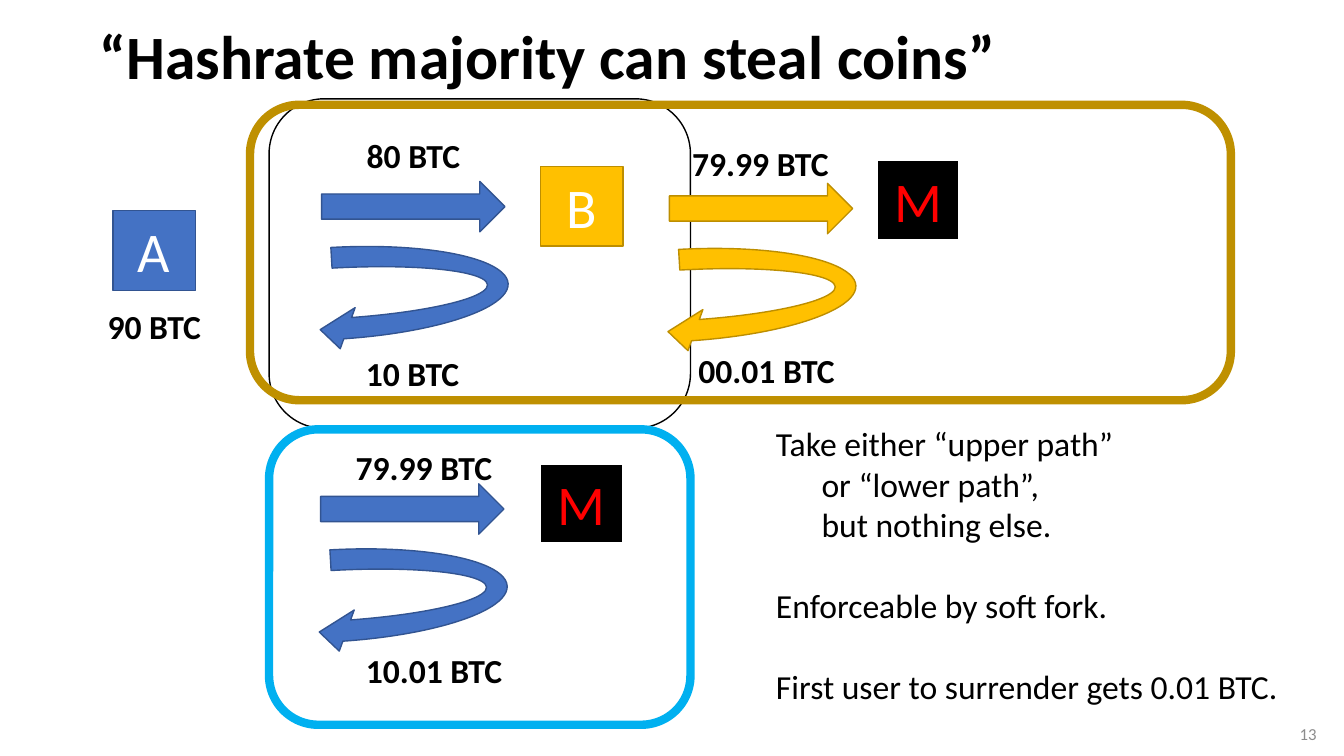
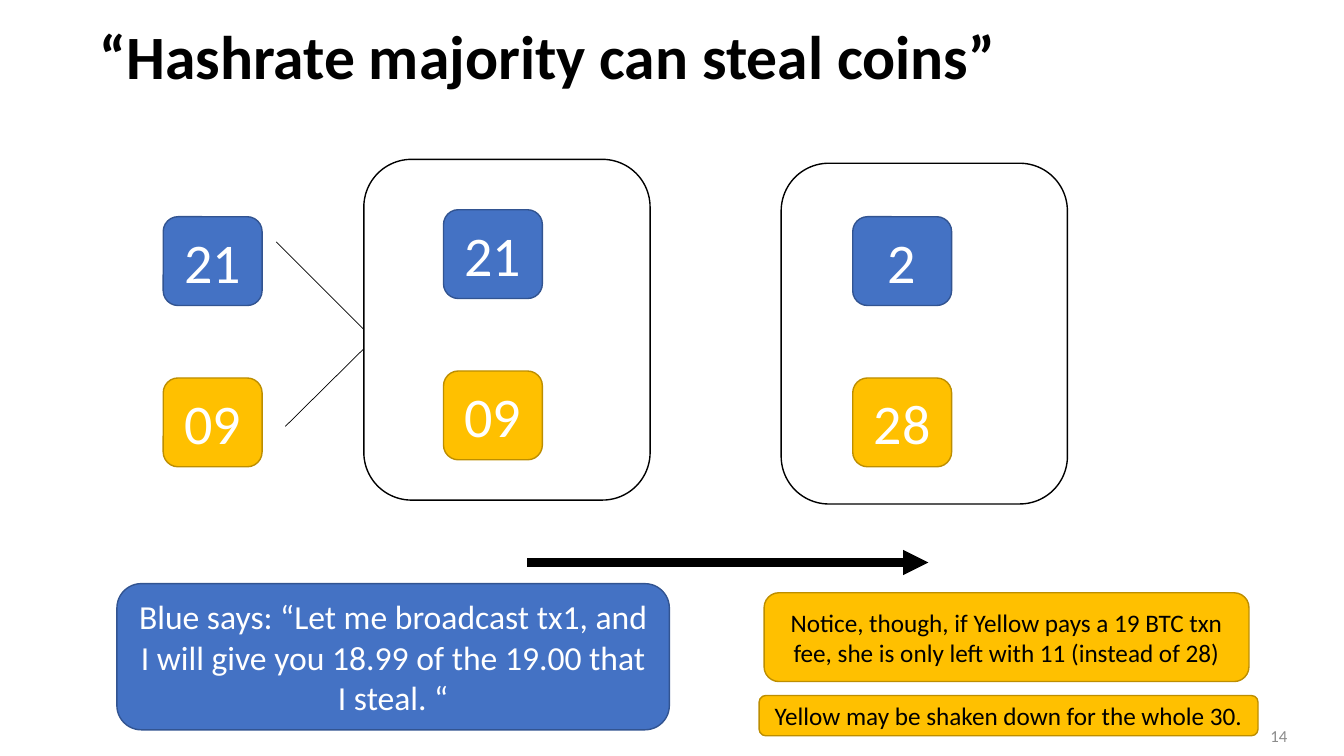
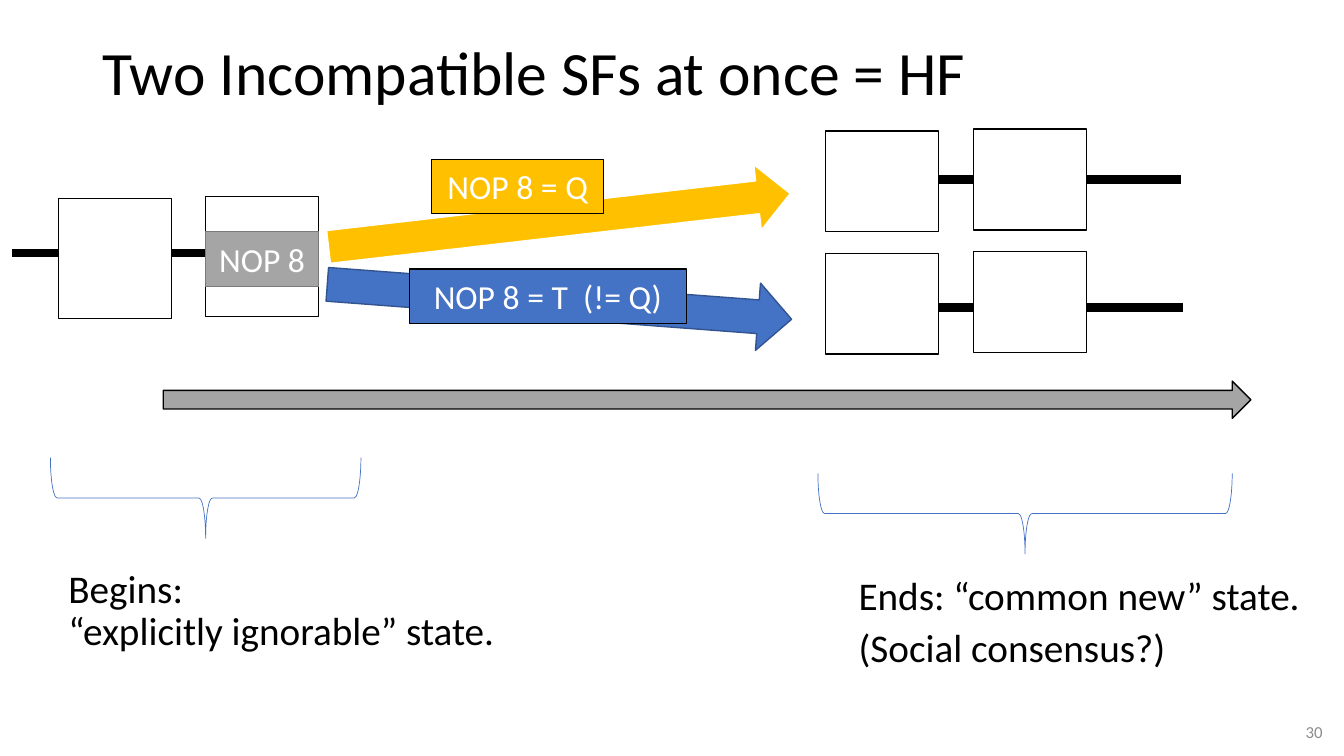
from dataclasses import dataclass
from lxml.etree import SubElement
from pptx import Presentation
from pptx.dml.color import RGBColor
from pptx.enum.shapes import MSO_CONNECTOR, MSO_SHAPE
from pptx.enum.text import MSO_ANCHOR, PP_ALIGN
from pptx.oxml.ns import qn
from pptx.util import Pt


@dataclass(frozen=True)
class Theme:
    font: str = "Calibri"
    black: str = "000000"
    white: str = "FFFFFF"
    red: str = "FF0000"
    blue: str = "4472C4"
    blue_edge: str = "325491"
    gold: str = "FFC000"
    gold_edge: str = "BD8E00"
    gold_frame: str = "BF9000"
    sky: str = "00B0F0"
    grey: str = "A5A5A5"
    grey_edge: str = "7A7A7A"
    number_ink: str = "8C8C8C"
    title_size: int = 44
    letter_size: int = 40
    heading_size: int = 28
    body_size: int = 24
    note_size: int = 18
    number_size: int = 12


theme = Theme()
BLUE = {"fill": theme.blue, "edge": theme.blue_edge}
GOLD = {"fill": theme.gold, "edge": theme.gold_edge}
LETTER = {"size": theme.letter_size, "ink": theme.white}
MINER = {"fill": theme.black, "edge": theme.white, "weight": 1.5,
         "size": theme.letter_size, "ink": theme.red}


def place(slide, kind, at, text="", size=theme.body_size, ink=theme.black, bold=False,
          align=None, anchor=None, spacing=None, fill=None, edge=None, weight=1, turn=0):
    """Add a preset shape, or a text box when kind is None."""
    frame = [Pt(value) for value in at]
    if kind is None:
        item = slide.shapes.add_textbox(*frame)
    else:
        item = slide.shapes.add_shape(kind, *frame)
        item.shadow.inherit = False
        item.rotation = turn
        align, anchor = PP_ALIGN.CENTER, MSO_ANCHOR.MIDDLE
        for part, colour in ((item.fill, fill), (item.line.fill, edge)):
            if colour:
                part.solid()
                part.fore_color.rgb = RGBColor.from_string(colour)
            else:
                part.background()
        if edge:
            item.line.width = Pt(weight)
    if text:
        words = item.text_frame
        words.text = text
        words.word_wrap = True
        words.vertical_anchor = anchor or MSO_ANCHOR.TOP
        for paragraph in words.paragraphs:
            paragraph.alignment = align or PP_ALIGN.LEFT
            paragraph.line_spacing = spacing
            for run in paragraph.runs:
                run.font.name = theme.font
                run.font.size = Pt(size)
                run.font.bold = bold
                run.font.color.rgb = RGBColor.from_string(ink)
    return item


def rule(slide, x1, y1, x2, y2, weight, arrow=False):
    """Add a straight black line, with an arrowhead at its end if wanted."""
    line = slide.shapes.add_connector(MSO_CONNECTOR.STRAIGHT, Pt(x1), Pt(y1), Pt(x2), Pt(y2))
    line.line.color.rgb = RGBColor.from_string(theme.black)
    line.line.width = Pt(weight)
    properties = line._element.spPr
    if arrow:
        SubElement(properties.find(qn("a:ln")), qn("a:tailEnd"), type="triangle")
    SubElement(properties, qn("a:effectLst"))


deck = Presentation()
deck.slide_width, deck.slide_height = Pt(960), Pt(540)

# Slides with their titles and numbers
STEAL = "“Hashrate majority can steal coins”"
pages = []
for title, title_at, bold, number, number_at in (
    (STEAL, (64, -10, 828, 104.4), True, "13", (731.5, 509.8)),
    (STEAL, (64, -10, 828, 104.4), True, "14", (710.6, 511.2)),
    ("Two Incompatible SFs at once = HF", (66.2, 18, 828, 72), False, "30", (735.8, 508.3)),
):
    page = deck.slides.add_slide(deck.slide_layouts[6])
    place(page, None, title_at, title, theme.title_size, bold=bold,
          anchor=MSO_ANCHOR.MIDDLE, spacing=0.9)
    place(page, None, (*number_at, 216, 28.8), number, theme.number_size, theme.number_ink,
          align=PP_ALIGN.RIGHT, anchor=MSO_ANCHOR.MIDDLE)
    pages.append(page)
paths, bargain, forks = pages

# Slide 1: frames of the possible paths
for at, edge, weight in (
    ((192.2, 70.6, 301, 235.4), theme.black, 1),
    ((192.2, 306.7, 301, 211), theme.sky, 6),
    ((178.6, 74.9, 700.6, 211), theme.gold_frame, 6),
):
    place(paths, MSO_SHAPE.ROUNDED_RECTANGLE, at, edge=edge, weight=weight)

# Slide 1: parties
for party, x, y, look in (
    ("A", 80.6, 150.5, BLUE | LETTER),
    ("B", 385.9, 118.8, GOLD | LETTER),
    ("M", 385.9, 331.2, MINER),
    ("M", 626.4, 114.5, MINER),
):
    place(paths, MSO_SHAPE.RECTANGLE, (x, y, 59, 56.9), party, **look)

# Slide 1: payments, each with its change returning
for x, y, look in ((229.7, 129.6, BLUE), (229, 345.6, BLUE), (478.1, 131, GOLD)):
    place(paths, MSO_SHAPE.RIGHT_ARROW, (x, y, 131, 36), **look)
    change = place(paths, MSO_SHAPE.CIRCULAR_ARROW, (x - 32.6, y - 53.2, 82.1, 266.4),
                   turn=86.8, **look)
    for index, value in enumerate((0.18, 25.34, 204.58, 108, 0.19)):
        change.adjustments[index] = value

# Slide 1: amounts
for amount, x, y in (
    ("90 BTC", 69.8, 215.3), ("80 BTC", 254.9, 92.9), ("10 BTC", 254.2, 248.4),
    ("79.99 BTC", 247, 315.4), ("10.01 BTC", 254.2, 460.8),
    ("79.99 BTC", 487.4, 98.6), ("00.01 BTC", 491.8, 246.2),
):
    place(paths, None, (x, y, 119, 36), amount, bold=True)

# Slide 1: conclusion
conclusion = place(paths, None, (547.2, 298.8, 384, 211), "\n".join((
    "Take either “upper path”", "or “lower path”,", "but nothing else.",
    "Enforceable by soft fork.", "First user to surrender gets 0.01 BTC.")))
lines = conclusion.text_frame.paragraphs
for line in lines[1:3]:
    line._p.get_or_add_pPr().set("marL", str(Pt(32.5)))
for line in lines[3:]:
    line.space_before = Pt(29)

# Slide 2: transactions and the lines feeding the first
for x, y in ((259.9, 113.8), (558, 116.6)):
    place(bargain, MSO_SHAPE.ROUNDED_RECTANGLE, (x, y, 204.5, 243.4), edge=theme.black)
rule(bargain, 197.3, 172.8, 259.9, 235.4, 0.5)
rule(bargain, 203.8, 304.6, 259.9, 249.1, 0.5)

# Slide 2: balances of Blue and Yellow
for x, y, balances in (
    (116.6, 154.8, ("21", "09")), (316.8, 149.8, ("21", "09")), (609.1, 154.8, ("2", "28")),
):
    for row, (balance, look) in enumerate(zip(balances, (BLUE, GOLD))):
        place(bargain, MSO_SHAPE.ROUNDED_RECTANGLE, (x, y + row * 115.2, 70.6, 63.4),
              balance, **look, **LETTER)
rule(bargain, 376.6, 401.8, 663.1, 401.8, 6, arrow=True)

# Slide 2: remarks
for at, remark, size, ink, look in (
    ((83.5, 416.9, 394.6, 104.4),
     "Blue says: “Let me broadcast tx1, and I will give you 18.99 of the 19.00 that I steal. “",
     theme.body_size, theme.white, BLUE),
    ((545.8, 423.4, 346.3, 63.4),
     "Notice, though, if Yellow pays a 19 BTC txn fee, she is only left with 11 (instead of 28)",
     theme.note_size, theme.black, GOLD),
    ((542.2, 496.8, 356.4, 28.8), "Yellow may be shaken down for the whole 30.",
     theme.note_size, theme.black, GOLD),
):
    place(bargain, MSO_SHAPE.ROUNDED_RECTANGLE, at, remark, size, ink, **look)

# Slide 3: chains
for x, y in ((629.3, 219.6), (627.8, 128.2), (8.6, 180.7)):
    rule(forks, x, y, x + 216, y, 6)

# Slide 3: fork arrows
place(forks, MSO_SHAPE.RIGHT_ARROW, (233.3, 133.2, 332.6, 48.2), fill=theme.gold,
      edge=theme.white, weight=1.5, turn=353.4)
place(forks, MSO_SHAPE.RIGHT_ARROW, (233.3, 191.5, 332.6, 48.2), turn=4.3, **BLUE)

# Slide 3: blocks
for x, y, height in (
    (41.8, 141.8, 85.7), (146.9, 140.4, 85.7),
    (589.7, 93.6, 72), (695.5, 92.2, 72),
    (589.7, 180.9, 72), (695.5, 179.8, 72),
):
    place(forks, MSO_SHAPE.RECTANGLE, (x, y, 80.6, height), fill=theme.white, edge=theme.black)

# Slide 3: opcode labels
for opcode, x, y, width, fill, edge in (
    ("NOP 8", 146.9, 165.6, 80.6, theme.grey, theme.grey_edge),
    ("NOP 8 = Q", 308.2, 113.8, 123.1, theme.gold, theme.black),
    ("NOP 8 = T  (!= Q)", 292.3, 192.2, 198, theme.blue, theme.black),
):
    place(forks, MSO_SHAPE.RECTANGLE, (x, y, width, 38.9), opcode, ink=theme.white,
          fill=fill, edge=edge)

# Slide 3: time arrow and braces
place(forks, MSO_SHAPE.RIGHT_ARROW, (116.6, 272.2, 776.9, 26.6),
      fill=theme.grey, edge=theme.black)
for at in ((118.1, 244.8, 57.6, 221.8), (703.4, 218.9, 57.6, 295.9)):
    place(forks, MSO_SHAPE.LEFT_BRACE, at, edge=theme.blue, weight=0.5, turn=270)

# Slide 3: states
for at, state, spacing, gap in (
    ((41.8, 403.2, 351.4, 92.9), "Begins:\n“explicitly ignorable” state.", 0.9, 0),
    ((606.2, 411.1, 339.8, 73.4), "Ends: “common new” state.\n(Social consensus?)", 0.8, 10),
):
    caption = place(forks, None, at, state, theme.heading_size, spacing=spacing)
    caption.text_frame.paragraphs[1].space_before = Pt(gap)

deck.save("out.pptx")
